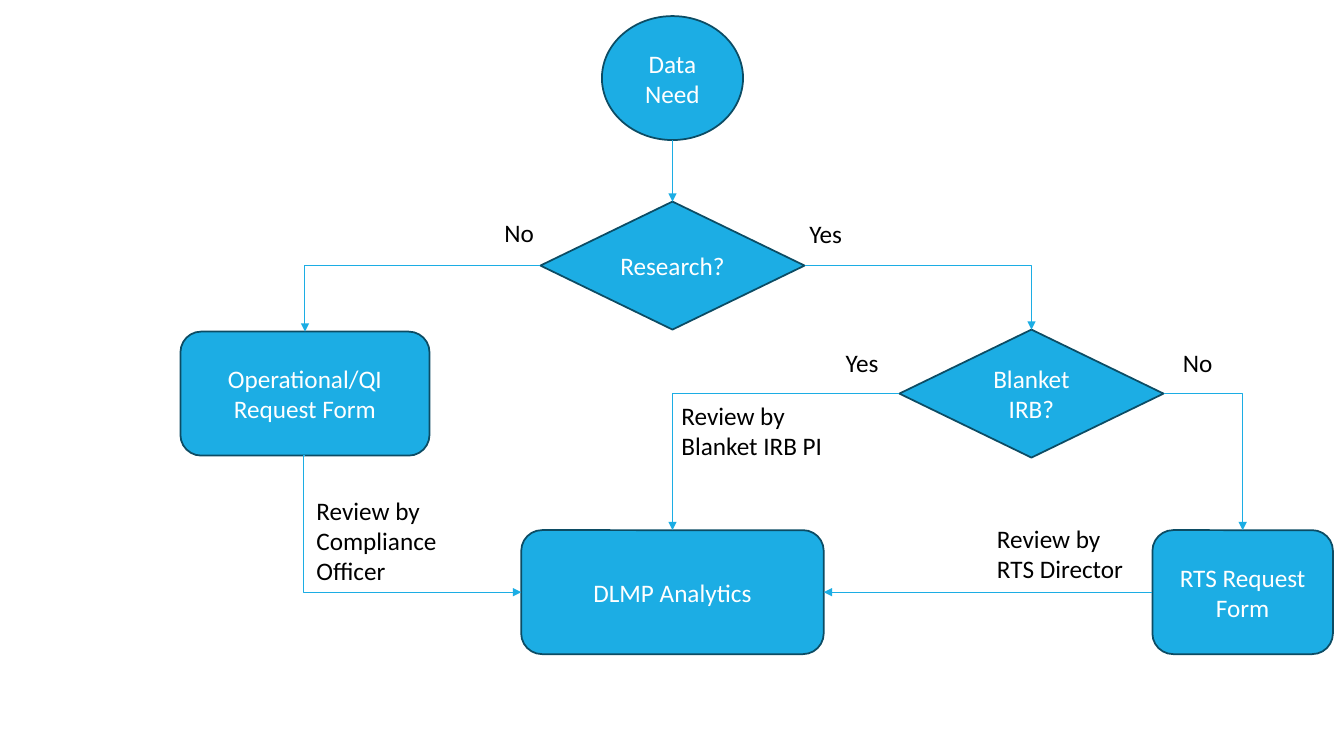
from dataclasses import dataclass

from lxml import etree
from pptx import Presentation
from pptx import util as u
from pptx.dml.color import RGBColor
from pptx.enum import shapes, text
from pptx.oxml import ns

PX = 9144
BLUE, NAVY, WHITE, BLACK = "1CADE4", "0C4C64", "FFFFFF", "000000"
TOP, LEFT, BOTTOM, RIGHT = range(4)
OVAL = shapes.MSO_SHAPE.OVAL
DIAMOND = shapes.MSO_SHAPE.DIAMOND
ROUND = shapes.MSO_SHAPE.ROUNDED_RECTANGLE
MID, START = text.PP_ALIGN.CENTER, text.PP_ALIGN.LEFT


@dataclass
class Node:
    key: str
    form: int
    x: int
    y: int
    w: int
    h: int
    words: str


@dataclass
class Link:
    src: str
    out: int
    dst: str
    into: int
    form: str
    glued: tuple = (True, True)


@dataclass
class Label:
    x: int
    y: int
    w: int
    h: int
    words: str
    align: int = MID


NODES = [
    Node("need", OVAL, 597, 16, 140, 123, "Data Need"),
    Node("study", DIAMOND, 536, 200, 262, 127, "Research?"),
    Node("irb", DIAMOND, 892, 327, 262, 127, "Blanket IRB?"),
    Node("dlmp", ROUND, 517, 526, 300, 123, "DLMP Analytics"),
    Node("oper", ROUND, 179, 329, 247, 123, "Operational/QI Request Form"),
    Node("rts", ROUND, 1143, 526, 179, 123, "RTS Request Form"),
]
LINKS = [
    Link("need", BOTTOM, "study", TOP, "line", (False, True)),
    Link("study", LEFT, "oper", TOP, "bentConnector2"),
    Link("study", RIGHT, "irb", TOP, "bentConnector2"),
    Link("oper", BOTTOM, "dlmp", LEFT, "bentConnector3", (False, False)),
    Link("irb", LEFT, "dlmp", TOP, "bentConnector2"),
    Link("irb", RIGHT, "rts", TOP, "bentConnector2"),
    Link("rts", LEFT, "dlmp", RIGHT, "line"),
]
LABELS = [
    Label(817, 340, 76, 40, "Yes"),
    Label(1150, 340, 76, 40, "No"),
    Label(781, 212, 76, 40, "Yes"),
    Label(477, 211, 76, 40, "No"),
    Label(304, 486, 164, 101, "Review by Compliance Officer", START),
    Label(666, 392, 164, 71, "Review by Blanket IRB PI", START),
    Label(979, 514, 164, 71, "Review by RTS Director", START),
]


def tint(code: str) -> RGBColor:
    return RGBColor.from_string(code)


def write(shape, words: str, align: int, code: str) -> None:
    frame = shape.text_frame
    frame.word_wrap = True
    para = frame.paragraphs[0]
    para.alignment = align
    run = para.add_run()
    run.text = words
    run.font.name = "Calibri"
    run.font.size = u.Pt(18)
    run.font.color.rgb = tint(code)


def draw_node(slide, node: Node):
    shape = slide.shapes.add_shape(
        node.form, node.x * PX, node.y * PX, node.w * PX, node.h * PX)
    shape.shadow.inherit = False
    shape.fill.solid()
    shape.fill.fore_color.rgb = tint(BLUE)
    shape.line.color.rgb = tint(NAVY)
    shape.line.width = u.Pt(1.25)
    shape.text_frame.vertical_anchor = text.MSO_ANCHOR.MIDDLE
    write(shape, node.words, MID, WHITE)
    return shape


def port(shape, side: int) -> tuple:
    across, down = ((1, 0), (0, 1), (1, 2), (2, 1))[side]
    return (shape.left + shape.width * across // 2,
            shape.top + shape.height * down // 2)


def draw_link(slide, link: Link, made: dict) -> None:
    src, dst = made[link.src], made[link.dst]
    kind = shapes.MSO_CONNECTOR.STRAIGHT if link.form == "line" else shapes.MSO_CONNECTOR.ELBOW
    wire = slide.shapes.add_connector(
        kind, *port(src, link.out), *port(dst, link.into))
    if link.glued[0]:
        wire.begin_connect(src, link.out)
    if link.glued[1]:
        wire.end_connect(dst, link.into)
    wire.line.color.rgb = tint(BLUE)
    wire.line.width = u.Pt(0.75)
    props = wire.element.spPr
    geom = props.find(ns.qn("a:prstGeom"))
    geom.set("prst", link.form)
    if link.form == "bentConnector3":
        bends = geom.find(ns.qn("a:avLst"))
        etree.SubElement(bends, ns.qn("a:gd"), name="adj1", fmla="val -800")
    etree.SubElement(props.find(ns.qn("a:ln")), ns.qn("a:tailEnd"), type="triangle")
    etree.SubElement(props, ns.qn("a:effectLst"))


def draw_label(slide, label: Label) -> None:
    box = slide.shapes.add_textbox(
        label.x * PX, label.y * PX, label.w * PX, label.h * PX)
    box.text_frame.auto_size = text.MSO_AUTO_SIZE.SHAPE_TO_FIT_TEXT
    write(box, label.words, label.align, BLACK)


def main() -> None:
    deck = Presentation()
    deck.slide_width, deck.slide_height = 1333 * PX, 750 * PX
    slide = deck.slides.add_slide(deck.slide_layouts[6])
    made = {node.key: draw_node(slide, node) for node in NODES}
    for link in LINKS:
        draw_link(slide, link, made)
    for label in LABELS:
        draw_label(slide, label)
    deck.save("out.pptx")


if __name__ == "__main__":
    main()
